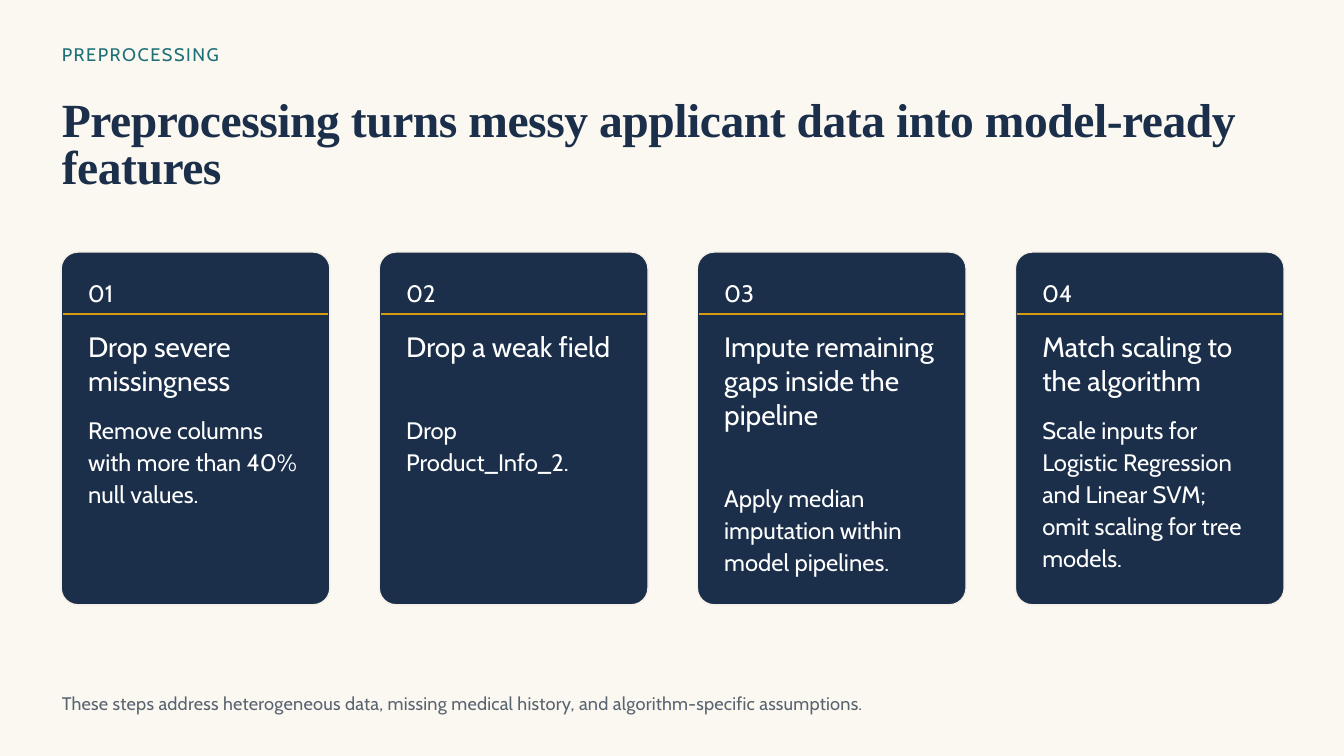
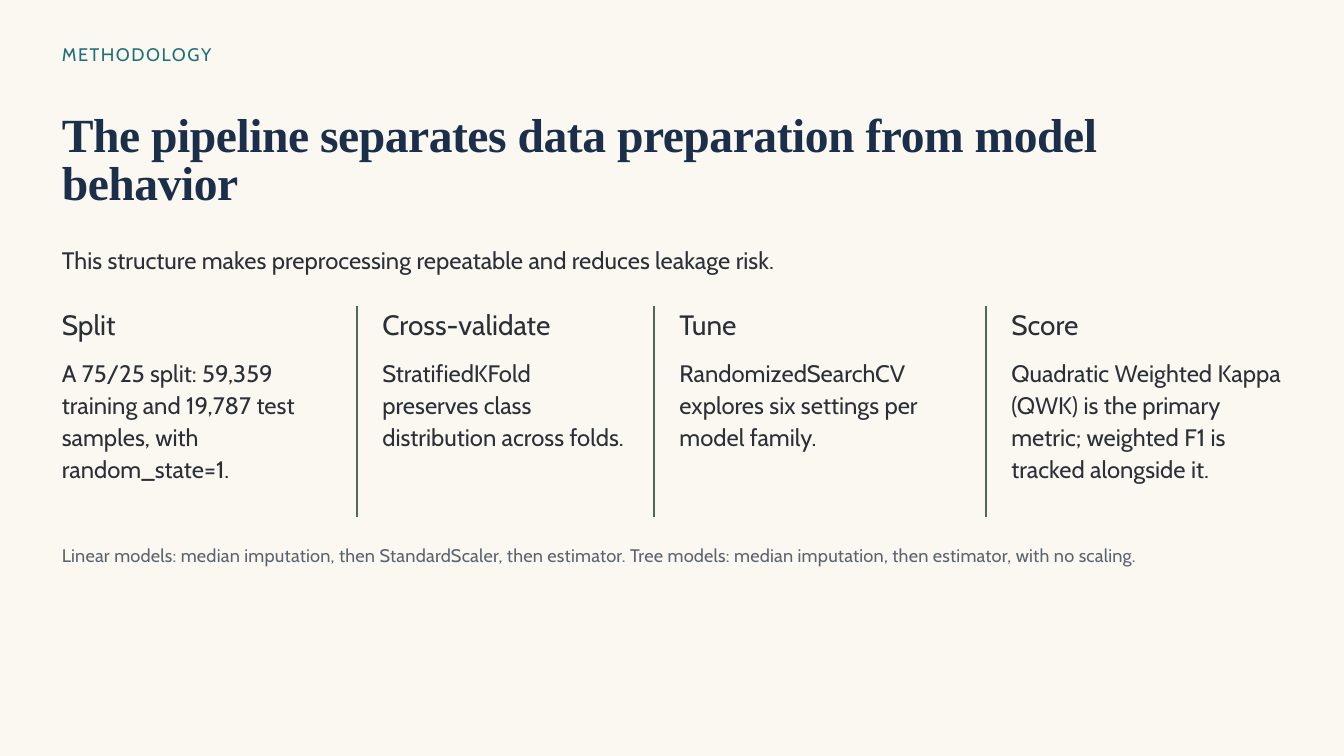
from pptx import Presentation
from pptx.dml.color import RGBColor
from pptx.enum import shapes, text
from pptx.oxml.ns import qn
from pptx.util import Inches, Pt
from lxml import etree

# Shared style
CREAM = RGBColor(0xFB, 0xF8, 0xF1)
NAVY = RGBColor(0x1B, 0x2F, 0x4B)
TEAL = RGBColor(0x1F, 0x6F, 0x78)
GOLD = RGBColor(0xD7, 0x9A, 0x12)
SAND = RGBColor(0xF4, 0xF0, 0xE7)
MOSS = RGBColor(0x52, 0x68, 0x5A)
INK = RGBColor(0x2B, 0x2F, 0x36)
SLATE = RGBColor(0x5A, 0x64, 0x70)
WHITE = RGBColor(0xFF, 0xFF, 0xFF)
SANS, SERIF = "Cabin", "Times New Roman"

MARGIN = 0.92
FULL_WIDTH = 19.08
KICKER = dict(size=19.5, leading=23.4, color=TEAL, tracking=1.6)
TITLE = dict(size=51, leading=50.8, color=NAVY, tracking=-0.5, font=SERIF, bold=True)
NUMBER = dict(size=25.5, leading=25.4)
HEADING = dict(size=30, leading=36)
BODY = dict(size=25.5, leading=34.3)
NOTE = dict(size=19.5, leading=25.3, color=SLATE, tracking=0.2)


def write(frame, words, size, leading, color=INK, tracking=0, font=SANS, bold=False):
    """Fill a text frame with one formatted paragraph."""
    frame.margin_left = frame.margin_right = frame.margin_top = frame.margin_bottom = 0
    frame.word_wrap = True
    frame.auto_size = text.MSO_AUTO_SIZE.NONE
    frame.vertical_anchor = text.MSO_ANCHOR.TOP
    paragraph = frame.paragraphs[0]
    paragraph.alignment = text.PP_ALIGN.LEFT
    paragraph.line_spacing = Pt(leading)
    run = paragraph.add_run()
    run.text = words
    run.font.name = font
    run.font.size = Pt(size)
    run.font.bold = bold
    run.font.color.rgb = color
    if tracking:
        run.font._element.set("spc", str(round(tracking * 100)))


class Deck:
    def __init__(self):
        self.prs = Presentation()
        self.prs.slide_width, self.prs.slide_height = Inches(20), Inches(11.25)
        fill = self.prs.slide_master.background.fill
        fill.solid()
        fill.fore_color.rgb = CREAM
        self.slide = None

    def new_slide(self, kicker, title, title_top):
        self.slide = self.prs.slides.add_slide(self.prs.slide_layouts[5])
        heading = self.slide.shapes.title
        heading.left, heading.top = Inches(MARGIN), Inches(title_top)
        heading.width, heading.height = Inches(18.18), Inches(1.31)
        write(heading.text_frame, title, **TITLE)
        self.label(kicker, MARGIN, 0.65, FULL_WIDTH, 0.33, **KICKER)

    def label(self, words, left, top, width, height, **style):
        box = self.slide.shapes.add_textbox(
            Inches(left), Inches(top), Inches(width), Inches(height))
        write(box.text_frame, words, **style)

    def panel(self, left, top, width, height, radius):
        panel = self.slide.shapes.add_shape(
            shapes.MSO_SHAPE.ROUNDED_RECTANGLE,
            Inches(left), Inches(top), Inches(width), Inches(height))
        panel.adjustments[0] = radius / min(width, height)
        panel.shadow.inherit = False
        panel.fill.solid()
        panel.fill.fore_color.rgb = NAVY
        panel.line.color.rgb = SAND
        panel.line.width = Pt(1.5)

    def rule(self, x1, y1, x2, y2, color, weight):
        rule = self.slide.shapes.add_connector(
            shapes.MSO_CONNECTOR.STRAIGHT, Inches(x1), Inches(y1), Inches(x2), Inches(y2))
        rule.line.color.rgb = color
        rule.line.width = Pt(weight)
        etree.SubElement(rule._element.spPr, qn("a:effectLst"))

    def step_card(self, left, number, heading, heading_height, body, body_height):
        top, width, inset, heading_top = 3.75, 4, 0.4, 4.91
        self.panel(left, top, width, 5.25, radius=0.25)
        self.label(number, left + inset, 4.22, 1.43, 0.29, color=WHITE, **NUMBER)
        self.rule(left + 0.03, 4.67, left + width - 0.03, 4.67, GOLD, 2.25)
        self.label(heading, left + inset, heading_top, 3.19, heading_height,
                   color=WHITE, **HEADING)
        self.label(body, left + inset, heading_top + heading_height + 0.23, 3.19,
                   body_height, color=WHITE, **BODY)

    def stage_column(self, left, width, heading, body, body_height):
        self.label(heading, left, 4.57, width, 0.5, **HEADING)
        self.label(body, left, 5.29, width, body_height, **BODY)


def preprocessing(deck):
    deck.new_slide("PREPROCESSING",
                   "Preprocessing turns messy applicant data into model-ready features", 1.48)
    # Four evenly spaced cards: heading, its height, body, its height
    steps = [
        ("Drop severe missingness", 1,
         "Remove columns with more than 40% null values.", 1.47),
        ("Drop a weak field", 1, "Drop Product_Info_2.", 0.99),
        ("Impute remaining gaps inside the pipeline", 2,
         "Apply median imputation within model pipelines.", 1.47),
        ("Match scaling to the algorithm", 1,
         "Scale inputs for Logistic Regression and Linear SVM; "
         "omit scaling for tree models.", 2.42),
    ]
    first_left, pitch = 0.91, 14.2 / 3
    for index, step in enumerate(steps):
        deck.step_card(first_left + index * pitch, f"{index + 1:02d}", *step)
    deck.label("These steps address heterogeneous data, missing medical history, "
               "and algorithm-specific assumptions.",
               MARGIN, 10.27, FULL_WIDTH, 0.37, **NOTE)


def methodology(deck):
    deck.new_slide("METHODOLOGY",
                   "The pipeline separates data preparation from model behavior", 1.71)
    deck.label("This structure makes preprocessing repeatable and reduces leakage risk.",
               MARGIN, 3.6, FULL_WIDTH, 0.51, **BODY)
    # Columns of differing width with a divider centred in each gap
    stages = [
        (4.02, "Split", "A 75/25 split: 59,359 training and 19,787 test samples, "
                        "with random_state=1.", 1.94),
        (3.67, "Cross-validate",
         "StratifiedKFold preserves class distribution across folds.", 1.94),
        (4.19, "Tune", "RandomizedSearchCV explores six settings per model family.", 1.47),
        (4.05, "Score", "Quadratic Weighted Kappa (QWK) is the primary metric; "
                        "weighted F1 is tracked alongside it.", 2.42),
    ]
    left, gap = MARGIN, 0.75
    for index, (width, *content) in enumerate(stages):
        if index:
            divider = left - gap / 2
            deck.rule(divider, 4.56, divider, 7.7, MOSS, 1.7)
        deck.stage_column(left, width, *content)
        left += width + gap
    deck.label("Linear models: median imputation, then StandardScaler, then estimator. "
               "Tree models: median imputation, then estimator, with no scaling.",
               MARGIN, 8.07, FULL_WIDTH, 0.37, **NOTE)


def main():
    deck = Deck()
    preprocessing(deck)
    methodology(deck)
    deck.prs.save("out.pptx")


if __name__ == "__main__":
    main()
